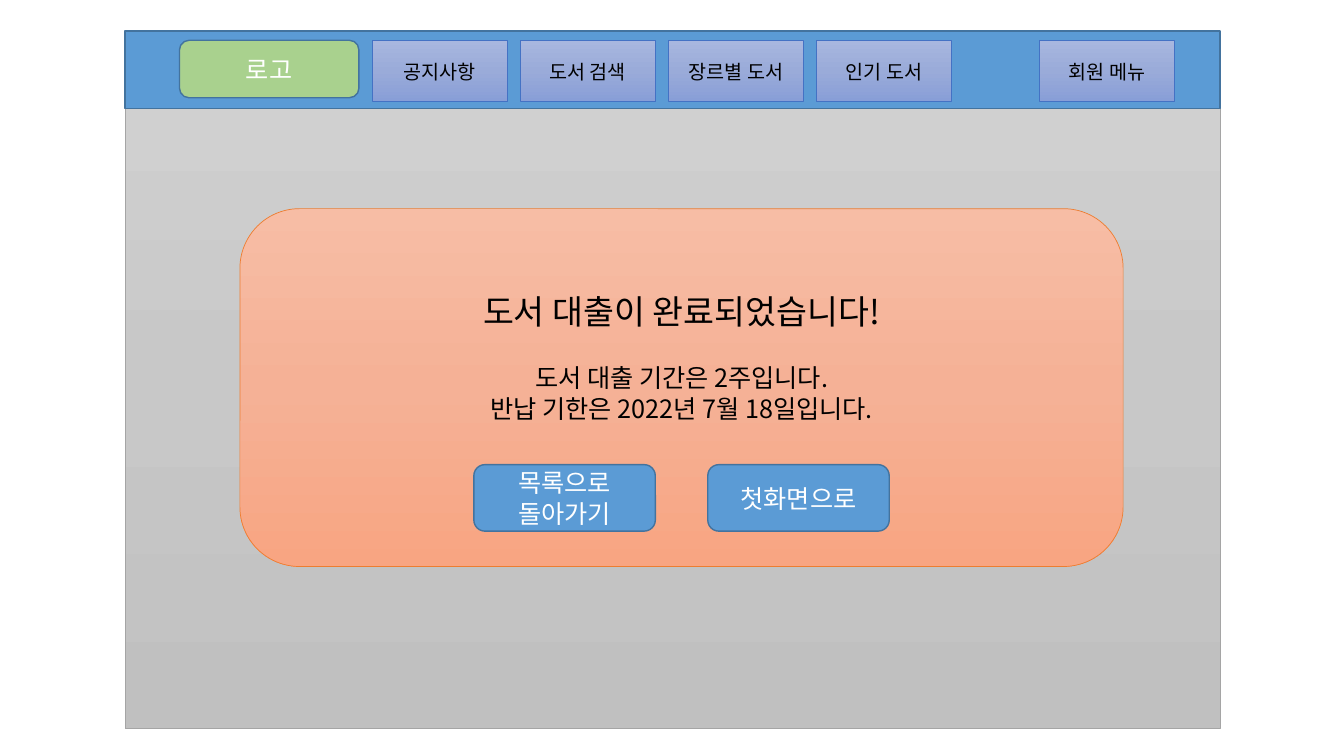
from copy import deepcopy

from pptx import Presentation
from pptx import util as u
from pptx.dml import color
from pptx.enum import shapes, text
from pptx.oxml import ns

FONT = "Noto Sans CJK KR"
LINE_HEIGHT = 1.22  # line pitch as a multiple of the font size
RECTANGLE = shapes.MSO_SHAPE.RECTANGLE
ROUNDED = shapes.MSO_SHAPE.ROUNDED_RECTANGLE

BLUE, BLUE_EDGE, GREEN = "5B9BD5", "43739E", "A9D18E"
GRAY_SHADES = ["D2D2D2", "C8C8C8", "C0C0C0"]
MENU_SHADES = ["A8B7DF", "9AABD9", "889ED7"]
PANEL_SHADES = ["F7BDA5", "F5B196", "F8A582"]


def rgb(value):
    return color.RGBColor.from_string(value)


def fill_gradient(shape, shades):
    """Shade the shape evenly from top to bottom through three colours."""
    shape.fill.gradient()
    shape.fill.gradient_angle = 270
    stops = shape._element.spPr.find(".//" + ns.qn("a:gsLst"))
    stops.insert(1, deepcopy(stops[0]))
    for index, (stop, shade) in enumerate(zip(shape.fill.gradient_stops, shades)):
        stop.position = index / 2
        stop.color.rgb = rgb(shade)


def add_box(slide, kind, box, fill, edge, edge_width=1):
    left, top, width, height = (u.Inches(length) for length in box)
    shape = slide.shapes.add_shape(kind, left, top, width, height)
    shape.shadow.inherit = False
    if isinstance(fill, list):
        fill_gradient(shape, fill)
    else:
        shape.fill.solid()
        shape.fill.fore_color.rgb = rgb(fill)
    shape.line.color.rgb = rgb(edge)
    shape.line.width = u.Pt(edge_width)
    return shape


def add_text(shape, content, size=18, ink="FFFFFF", before=0):
    """Write one centred paragraph, after any text already in the shape."""
    frame = shape.text_frame
    frame.word_wrap = True
    frame.vertical_anchor = text.MSO_ANCHOR.MIDDLE
    paragraph = frame.add_paragraph() if frame.text else frame.paragraphs[0]
    paragraph.alignment = text.PP_ALIGN.CENTER
    paragraph.line_spacing = u.Pt(round(size * LINE_HEIGHT))
    if before:
        paragraph.space_before = u.Pt(before)
    run = paragraph.add_run()
    run.text = content
    run.font.size = u.Pt(size)
    run.font.color.rgb = rgb(ink)
    run.font.name = FONT
    east_asian = run.font._element.makeelement(ns.qn("a:ea"), {"typeface": FONT})
    run.font._element.append(east_asian)


def add_header(slide, left, top, width):
    add_box(slide, RECTANGLE, (left, top, width, 0.77), BLUE, BLUE_EDGE)
    item_top = top + 0.09

    # Logo label
    logo = add_box(slide, ROUNDED, (left + 0.54, item_top, 1.78, 0.57), GREEN, BLUE_EDGE)
    add_text(logo, "로고")

    # Evenly spaced menu, with the member menu at the right
    labels = ["공지사항", "도서 검색", "장르별 도서", "인기 도서"]
    items = [(left + 2.45 + 1.47 * index, label) for index, label in enumerate(labels)]
    items.append((left + width - 1.79, "회원 메뉴"))
    for item_left, label in items:
        item = add_box(slide, RECTANGLE, (item_left, item_top, 1.34, 0.61),
                       MENU_SHADES, "4472C4", 0.5)
        add_text(item, label, size=14, ink="000000")


def add_message(slide, left, top, width, height):
    # Panel text, raised to leave room for the buttons
    panel = add_box(slide, ROUNDED, (left, top, width, height), PANEL_SHADES, "ED7D31", 0.5)
    panel.text_frame.margin_bottom = u.Inches(0.66)
    add_text(panel, "도서 대출이 완료되었습니다!", size=24, ink="000000")
    add_text(panel, "도서 대출 기간은 2주입니다.", ink="000000", before=22)
    add_text(panel, "반납 기한은 2022년 7월 18일입니다.", ink="000000")

    # Buttons
    buttons = [["목록으로", "돌아가기"], ["첫화면으로"]]
    for index, lines in enumerate(buttons):
        button_box = (left + 2.32 * (index + 1), top + 2.54, 1.8, 0.66)
        button = add_box(slide, ROUNDED, button_box, BLUE, BLUE_EDGE)
        for line in lines:
            add_text(button, line)


def main():
    presentation = Presentation()
    presentation.slide_width = u.Inches(13.33)
    presentation.slide_height = u.Inches(7.5)
    slide = presentation.slides.add_slide(presentation.slide_layouts[6])

    # Page background, header bar and confirmation panel
    left, top, width, height = 1.24, 0.31, 10.86, 6.92
    add_box(slide, RECTANGLE, (left, top, width, height), GRAY_SHADES, "A5A5A5", 0.5)
    add_header(slide, left, top, width)
    add_message(slide, left + 1.14, top + 1.76, 8.76, 3.55)

    presentation.save("out.pptx")


if __name__ == "__main__":
    main()
